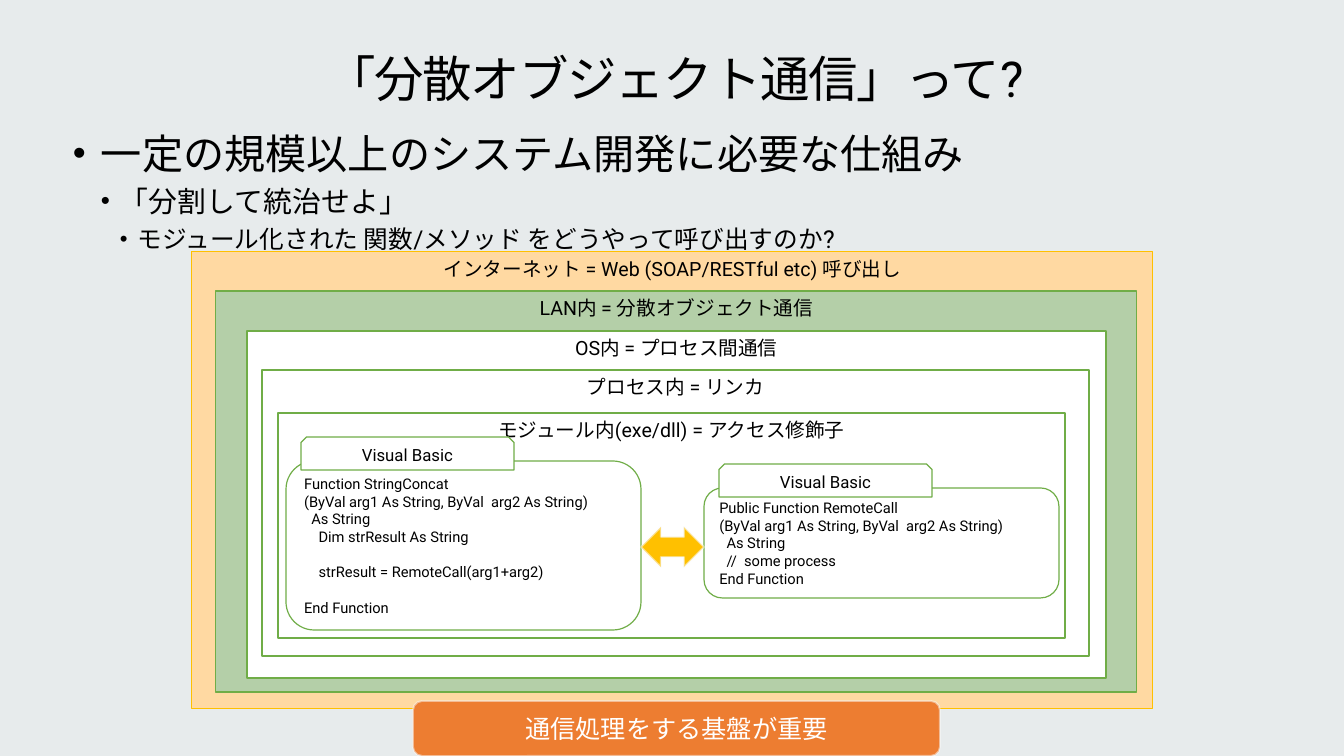
"""Build a slide on distributed object communication with nested call scopes."""
import pptx
import pptx.dml.color
import pptx.enum.lang
import pptx.enum.shapes
import pptx.enum.text
import pptx.oxml
import pptx.oxml.ns
import pptx.util

SLIDE_SIZE = (1344, 756)
FONT = "Roboto"
COLORS = {
    "background": "E7EBEC", "text": "000000", "white": "FFFFFF",
    "sand": "FFD9A2", "amber": "FFC000", "sage": "B4CFA8",
    "green": "70AD47", "orange": "ED7D31", "pale": "F9F9F9",
}
TITLE = ("「分散オブジェクト通信」って?", (30, 32, 1290, 99), 35.3)
BODY_BOX = (57, 118, 1230, 576)
BODY = [
    ("一定の規模以上のシステム開発に必要な仕組み", 29.4, 28, 28),
    ("「分割して統治せよ」", 20.6, 47, 19),
    ("モジュール化された 関数/メソッド をどうやって呼び出すのか?", 17.6, 65, 18),
]
SCOPES = [
    ("インターネット = Web (SOAP/RESTful etc) 呼び出し", (192, 252, 961, 457), "sand", "amber", 0.75),
    ("LAN内 = 分散オブジェクト通信", (216, 291, 921, 401), "sage", "green", 0.75),
    ("OS内 = プロセス間通信", (247, 331, 859, 347), "white", "green", 0.85),
    ("プロセス内 = リンカ", (262, 370, 827, 286), "white", "green", 0.85),
    ("モジュール内(exe/dll) = アクセス修飾子", (278, 413, 787, 225), "white", "green", 0.85),
]
LANGUAGE = "Visual Basic"
CODE_WIDTH = 355
TAB_OFFSET = (15, -24)
TAB_SIZE = (213, 33)
CODE_LINE = 12.6
MODULES = [
    ((286, 461), 169, """Function StringConcat
(ByVal arg1 As String, ByVal  arg2 As String)
  As String
    Dim strResult As String

    strResult = RemoteCall(arg1+arg2)

End Function"""),
    ((704, 488), 110, """Public Function RemoteCall
(ByVal arg1 As String, ByVal  arg2 As String)
  As String
  //  some process
End Function"""),
]
ARROW_BOX = (641, 527, 63, 40)
MESSAGE = ("通信処理をする基盤が重要", (413, 701, 527, 55))

SHAPES = pptx.enum.shapes.MSO_SHAPE
ALIGN = pptx.enum.text.PP_ALIGN
ANCHOR = pptx.enum.text.MSO_ANCHOR


def px(length):
    return pptx.util.Emu(round(length * 914400 / 100.8))


def rgb(name):
    return pptx.dml.color.RGBColor.from_string(COLORS[name])


def add_run(paragraph, text, size, color="text"):
    run = paragraph.add_run()
    run.text = text
    run.font.name = FONT
    run.font.size = pptx.util.Pt(size)
    run.font.color.rgb = rgb(color)
    run.font.language_id = pptx.enum.lang.MSO_LANGUAGE_ID.JAPANESE
    return run


def add_box(slide, kind, box, fill, line, width):
    shape = slide.shapes.add_shape(kind, *map(px, box))
    shape.shadow.inherit = False
    shape.fill.solid()
    shape.fill.fore_color.rgb = rgb(fill)
    shape.line.color.rgb = rgb(line)
    shape.line.width = pptx.util.Pt(width)
    return shape


def soften_line(shape):
    color = shape.line._ln.find(".//" + pptx.oxml.ns.qn("a:srgbClr"))
    pptx.oxml.ns.qn("a:alpha")
    color.append(pptx.oxml.parse_xml(
        f'<a:alpha {pptx.oxml.ns.nsdecls("a")} val="50000"/>'))


def write_label(shape, text, size, anchor, color="text"):
    shape.text_frame.vertical_anchor = anchor
    paragraph = shape.text_frame.paragraphs[0]
    paragraph.alignment = ALIGN.CENTER
    add_run(paragraph, text, size, color)


def write_code(shape, code):
    frame = shape.text_frame
    frame.vertical_anchor = ANCHOR.MIDDLE
    paragraph, gap = frame.paragraphs[0], 0
    for index, line in enumerate(code.split("\n")):
        if not line:
            gap += CODE_LINE
            continue
        if index:
            paragraph = frame.add_paragraph()
        paragraph.alignment = ALIGN.LEFT
        paragraph.space_before = pptx.util.Pt(gap)
        add_run(paragraph, line, 10.5)
        gap = 0


def prepare_placeholder(shape, box, anchor):
    shape.left, shape.top, shape.width, shape.height = map(px, box)
    frame = shape.text_frame
    frame.auto_size = pptx.enum.text.MSO_AUTO_SIZE.NONE
    frame.word_wrap = True
    frame.vertical_anchor = anchor
    frame.margin_left = frame.margin_right = px(16)
    frame.margin_top = frame.margin_bottom = px(10)
    return frame


def write_title(shape):
    text, box, size = TITLE
    paragraph = prepare_placeholder(shape, box, ANCHOR.MIDDLE).paragraphs[0]
    paragraph.alignment = ALIGN.CENTER
    paragraph.line_spacing = 0.9
    run = add_run(paragraph, text, size)
    run.font._element.set("spc", "-80")


def write_body(shape):
    frame = prepare_placeholder(shape, BODY_BOX, ANCHOR.TOP)
    for level, (text, size, margin, hanging) in enumerate(BODY):
        paragraph = frame.add_paragraph() if level else frame.paragraphs[0]
        paragraph.level = level
        paragraph.space_before = pptx.util.Pt(4.4 if level else 0)
        properties = paragraph._p.get_or_add_pPr()
        properties.set("marL", str(px(margin)))
        properties.set("indent", str(-px(hanging)))
        for tag, attribute in (
            ("buSzPct", 'val="90000"'),
            ("buFont", 'typeface="Arial"'),
            ("buChar", 'char="•"'),
        ):
            properties.append(pptx.oxml.parse_xml(
                f'<a:{tag} {pptx.oxml.ns.nsdecls("a")} {attribute}/>'))
        add_run(paragraph, text, size)


def main():
    presentation = pptx.Presentation()
    presentation.slide_width, presentation.slide_height = map(px, SLIDE_SIZE)
    slide = presentation.slides.add_slide(presentation.slide_layouts[1])
    slide.background.fill.solid()
    slide.background.fill.fore_color.rgb = rgb("background")
    title, body = slide.placeholders
    write_title(title)
    write_body(body)

    for text, box, fill, line, width in SCOPES:
        scope = add_box(slide, SHAPES.RECTANGLE, box, fill, line, width)
        write_label(scope, text, 14, ANCHOR.TOP)
        title._element.addprevious(scope._element)

    for (left, top), height, code in MODULES:
        module = add_box(slide, SHAPES.ROUNDED_RECTANGLE,
                         (left, top, CODE_WIDTH, height), "white", "green", 0.85)
        write_code(module, code)
        tab_box = (left + TAB_OFFSET[0], top + TAB_OFFSET[1], *TAB_SIZE)
        tab = add_box(slide, SHAPES.SNIP_2_SAME_RECTANGLE, tab_box, "white", "green", 0.85)
        write_label(tab, LANGUAGE, 12, ANCHOR.MIDDLE)

    soften_line(add_box(slide, SHAPES.LEFT_RIGHT_ARROW, ARROW_BOX, "amber", "pale", 1.35))
    text, box = MESSAGE
    message = add_box(slide, SHAPES.ROUNDED_RECTANGLE, box, "orange", "pale", 1.35)
    soften_line(message)
    write_label(message, text, 18, ANCHOR.MIDDLE, "white")
    presentation.save("out.pptx")


if __name__ == "__main__":
    main()
